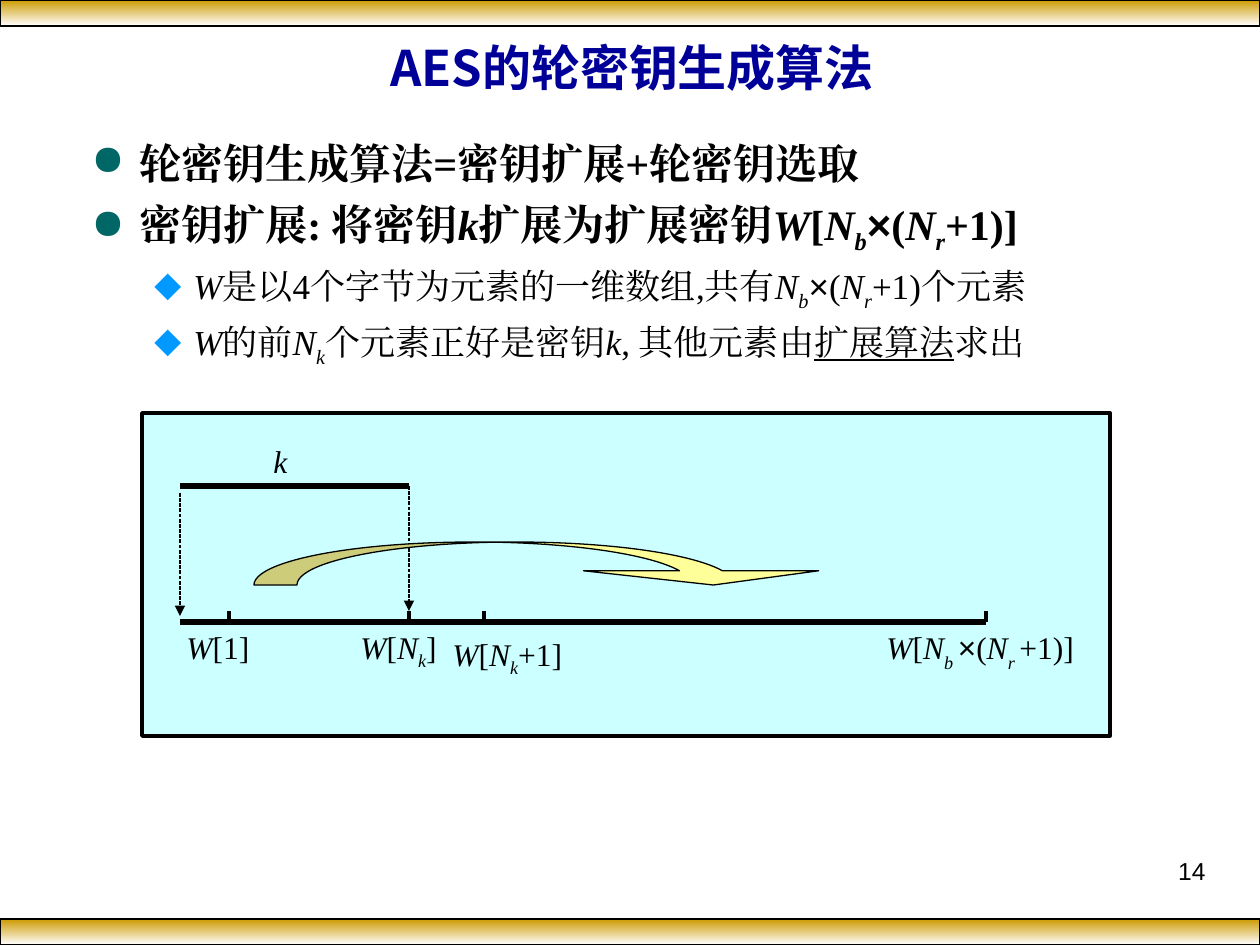
from lxml import etree
from pptx import Presentation, util as u
from pptx.dml.color import RGBColor
from pptx.enum import dml, shapes, text
from pptx.oxml.ns import qn

PX = u.Inches(1) / 126
COLORS = {
    "black": "000000", "gold": "CC9900", "white": "FFFFFF", "title": "000099",
    "disc": "006666", "diamond": "0099FF", "panel": "CCFFFF", "arrow": "FFFF99",
}
COLORS = {name: RGBColor.from_string(value) for name, value in COLORS.items()}
SERIF = "Times New Roman"
BASELINES = {"s": "-25000", "S": "-30000"}

presentation = Presentation()
presentation.slide_width, presentation.slide_height = u.Inches(10), u.Inches(7.5)
slide = presentation.slides.add_slide(presentation.slide_layouts[5])


def px(*values):
    return [u.Emu(round(value * PX)) for value in values]


def write(paragraph, pieces, size, font=SERIF, color="black", bold=False):
    """Pieces are (text, style): i italic, s/S subscript, u underline, a Arial."""
    paragraph.font.size = u.Pt(size)
    paragraph.font.name = font
    paragraph.font.bold = bold
    paragraph.font.color.rgb = COLORS[color]
    east_asian = etree.SubElement(paragraph.font._element, qn("a:ea"))
    east_asian.set("typeface", font)
    for content, style in pieces:
        run = paragraph.add_run()
        run.text = content
        if "i" in style:
            run.font.italic = True
        if "u" in style:
            run.font.underline = True
        if "a" in style:
            run.font.name = "Arial"
        for mark in BASELINES.keys() & set(style):
            run._r.get_or_add_rPr().set("baseline", BASELINES[mark])


# Gold bands at the top and bottom
for top in (0, 919):
    band = slide.shapes.add_shape(shapes.MSO_SHAPE.RECTANGLE, *px(0, top, 1260, 26))
    band.shadow.inherit = False
    band.fill.gradient()
    band.fill.gradient_angle = 270
    for stop, name in zip(band.fill.gradient_stops, ("gold", "white")):
        stop.color.rgb = COLORS[name]
    band.line.color.rgb = COLORS["black"]
    band.line.width = u.Pt(0.75)

# Title
title = slide.shapes.title
title.left, title.top, title.width, title.height = px(65, 32, 1134, 69)
title.text_frame.vertical_anchor = text.MSO_ANCHOR.MIDDLE
title_paragraph = title.text_frame.paragraphs[0]
title_paragraph.alignment = text.PP_ALIGN.CENTER
write(title_paragraph, [("AES的轮密钥生成算法", "")], 28, "Noto Sans CJK SC", "title", True)

# Bulleted text
count = [("N", "i"), ("b", "is"), ("×", "a"), ("(", ""), ("N", "i"), ("r", "is")]
bullets = [
    (0, [("轮密钥生成算法=密钥扩展+轮密钥选取", "")]),
    (0, [("密钥扩展: 将密钥", ""), ("k", "i"), ("扩展为扩展密钥", ""), ("W", "i"),
         ("[", ""), *count, ("+1)]", "")]),
    (1, [("W", "i"), ("是以4个字节为元素的一维数组,共有", ""), *count, ("+1)个元素", "")]),
    (1, [("W", "i"), ("的前", ""), ("N", "i"), ("k", "is"), ("个元素正好是密钥", ""),
         ("k", "i"), (", 其他元素由", ""), ("扩展算法", "u"), ("求出", "")]),
]
# Per level: bullet, colour, margin px, indent px, size, bold, space before
levels = [("●", "disc", 48, -48, 24, True, 6), ("◆", "diamond", 102, -39, 20, False, 5)]
body = slide.shapes.add_textbox(*px(79, 131, 1108, 244)).text_frame
body.word_wrap = True
for index, (level, pieces) in enumerate(bullets):
    symbol, color, margin, indent, size, bold, space = levels[level]
    paragraph = body.add_paragraph() if index else body.paragraphs[0]
    paragraph.level = level
    properties = paragraph._p.get_or_add_pPr()
    properties.set("marL", str(px(margin)[0]))
    properties.set("indent", str(px(indent)[0]))
    bullet_color = etree.SubElement(properties, qn("a:buClr"))
    etree.SubElement(bullet_color, qn("a:srgbClr")).set("val", str(COLORS[color]))
    etree.SubElement(properties, qn("a:buChar")).set("char", symbol)
    if index:
        paragraph.space_before = u.Pt(space)
    write(paragraph, pieces, size, bold=bold)

# Diagram panel
panel = slide.shapes.add_shape(shapes.MSO_SHAPE.RECTANGLE, *px(142, 413, 968, 323))
panel.shadow.inherit = False
panel.fill.solid()
panel.fill.fore_color.rgb = COLORS["panel"]
panel.line.color.rgb = COLORS["black"]
panel.line.width = u.Pt(2)

# Key bar, array axis, ticks and dashed arrows
start, key_end, axis_end = 180, 409, 986
key_y, tick_y, axis_y = 486, 611, 622
lines = [
    (start, key_y, key_end, key_y, 3, False),
    (start, axis_y, axis_end, axis_y, 3, False),
    *[(x, tick_y, x, axis_y, 2, False) for x in (229, key_end, 484, axis_end)],
    (start, 493, start, 616, 0.75, True),
    (key_end, key_y, key_end, tick_y, 0.75, True),
]
for x1, y1, x2, y2, width, is_arrow in lines:
    connector = slide.shapes.add_connector(
        shapes.MSO_CONNECTOR.STRAIGHT, *px(x1, y1, x2, y2))
    connector.line.color.rgb = COLORS["black"]
    connector.line.width = u.Pt(width)
    if is_arrow:
        connector.line.dash_style = dml.MSO_LINE.SQUARE_DOT
        tail = etree.SubElement(connector.line._get_or_add_ln(), qn("a:tailEnd"))
        tail.set("type", "triangle")
    etree.SubElement(connector._element.spPr, qn("a:effectLst"))

# Curved arrow from the key words to the expanded words
arrow = slide.shapes.add_shape(
    shapes.MSO_SHAPE.CURVED_DOWN_ARROW, *px(254, 542, 577, 43))
arrow.shadow.inherit = False
for index, value in enumerate((2.74, 5.47, 0.33)):
    arrow.adjustments[index] = value
arrow.fill.solid()
arrow.fill.fore_color.rgb = COLORS["arrow"]
arrow.line.color.rgb = COLORS["black"]
arrow.line.width = u.Pt(0.75)

# Diagram labels
word = [("W", "i"), ("[", "")]
labels = [
    (261, 436, 49, 50, [("k", "i")]),
    (174, 622, 100, 50, [("W", "i"), ("[1]", "")]),
    (348, 622, 117, 55, [*word, ("N", "i"), ("k", "is"), ("]", "")]),
    (440, 629, 149, 55, [*word, ("N", "i"), ("k", "is"), ("+1]", "")]),
    (874, 622, 248, 58, [*word, ("N", "i"), ("b ", "iS"), ("×", "a"), ("(", ""),
                         ("N", "i"), ("r ", "iS"), ("+1)]", "")]),
]
for left, top, width, height, pieces in labels:
    label = slide.shapes.add_textbox(*px(left, top, width, height)).text_frame
    label.word_wrap = False
    write(label.paragraphs[0], pieces, 18)

# Slide number
number = slide.shapes.add_textbox(*px(903, 850, 315, 66)).text_frame
number.word_wrap = True
number.paragraphs[0].alignment = text.PP_ALIGN.RIGHT
write(number.paragraphs[0], [("14", "")], 14, "Arial")

presentation.save("out.pptx")
